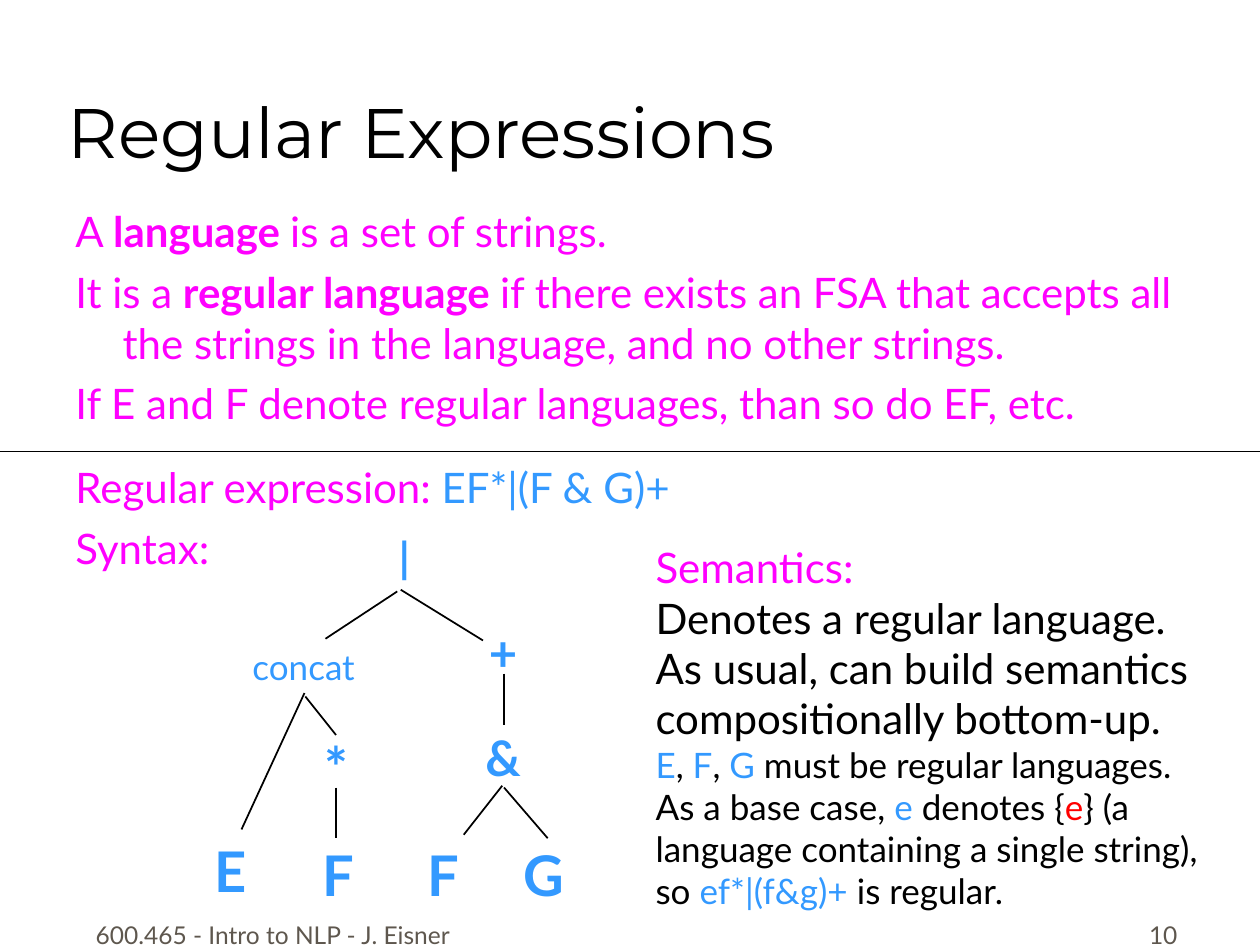
from lxml import etree
from pptx import Presentation
from pptx.dml.color import RGBColor
from pptx.enum.shapes import MSO_CONNECTOR
from pptx.enum.text import MSO_ANCHOR, MSO_AUTO_SIZE, PP_ALIGN
from pptx.oxml.ns import qn
from pptx.util import Pt

LEFT, CENTER, RIGHT = PP_ALIGN.LEFT, PP_ALIGN.CENTER, PP_ALIGN.RIGHT
TOP, BOTTOM = MSO_ANCHOR.TOP, MSO_ANCHOR.BOTTOM
NO_AUTOFIT = MSO_AUTO_SIZE.NONE
STRAIGHT = MSO_CONNECTOR.STRAIGHT

COLORS = {"black": "000000", "magenta": "FF00FF", "blue": "3399FF",
          "red": "FF0000", "footer": "5E574E"}
BODY_FONT, TITLE_FONT = "Lato", "Montserrat"

# A paragraph is a list of (text, format) pieces; "\n" breaks the line.
BLUE, RED, BOLD = {"color": "blue"}, {"color": "red"}, {"bold": True}
TITLE = [[("Regular Expressions", {})]]
DEFINITIONS = [
    [("A ", {}), ("language ", BOLD), ("is a set of strings.", {})],
    [("It is a ", {}), ("regular language ", BOLD),
     ("if there exists an FSA that accepts all the strings in the language, "
      "and no other strings.", {})],
    [("If E and F denote regular languages, than so do EF, etc.", {})],
    [("Regular expression: ", {}), ("EF*|(F & G)+", BLUE)],
    [("Syntax:", {})],
]
DEFINITION_GAPS = [0, 6, 6, 19, 6]

LARGE = {"size": 24}
SEMANTICS = [
    [("Semantics:", {"size": 24, "color": "magenta"}), ("\n", LARGE),
     ("Denotes a regular language.", LARGE)],
    [("As usual, can build semantics compositionally bottom-up.", LARGE)],
    [("E", BLUE), (", ", {}), ("F", BLUE), (", ", {}), ("G", BLUE),
     (" must be regular languages.", {})],
    [("As a base case, ", {}), ("e", BLUE), (" denotes {", {}), ("e", RED),
     ("} (a language containing a single string),", {}), ("\n", {}),
     ("so ", {}), ("ef*|(f&g)+", BLUE), (" is regular.", {})],
]

# Syntax tree: label, centre x, centre y, width, text size, bold
NODES = [
    ("|", 231, 318, 27, 24, True),
    ("concat", 173.5, 381, 76, 20, False),
    ("+", 287.5, 372.5, 30, 28, True),
    ("*", 192, 438, 32, 32, True),
    ("&", 287.5, 432.5, 35, 28, True),
    ("E", 132, 497.5, 32, 32, True),
    ("F", 193.5, 499.5, 32, 32, True),
    ("F", 253.5, 499.5, 32, 32, True),
    ("G", 311, 499.5, 37, 32, True),
]
EDGES = [
    (227, 338, 186, 365), (229, 337, 276, 366),
    (174, 396, 138, 474), (174.5, 398, 192, 420), (192, 450, 192, 479),
    (288, 385, 288, 414), (287, 449, 265, 477), (288, 450, 313, 479),
]
LINE_HEIGHT, INSET = 1.2, 3.6


def write(box, paragraphs, size=20, color="black", font=BODY_FONT, bold=False,
          align=LEFT, anchor=TOP, wrap=True, gaps=None, hanging=0):
    """Fill a box; the formats of single pieces override the defaults."""
    frame = box.text_frame
    frame.word_wrap = wrap
    frame.auto_size = NO_AUTOFIT
    frame.vertical_anchor = anchor
    for index, pieces in enumerate(paragraphs):
        para = frame.add_paragraph() if index else frame.paragraphs[0]
        para.alignment = align
        para.space_before = Pt(gaps[index] if gaps else 0)
        if hanging:
            properties = para._p.get_or_add_pPr()
            properties.set("marL", str(Pt(hanging)))
            properties.set("indent", str(-Pt(hanging)))
        for text, style in pieces:
            if text == "\n":
                para.add_line_break()
                continue
            span = para.add_run()
            span.text = text
            span.font.name = font
            span.font.size = Pt(style.get("size", size))
            span.font.bold = style.get("bold", bold)
            span.font.color.rgb = RGBColor.from_string(
                COLORS[style.get("color", color)])


def add_text(shapes, left, top, width, height, paragraphs, **style):
    box = shapes.add_textbox(Pt(left), Pt(top), Pt(width), Pt(height))
    write(box, paragraphs, **style)


def add_line(shapes, *ends):
    line = shapes.add_connector(STRAIGHT, *[Pt(value) for value in ends])
    line.line.width = Pt(1)
    line.line.color.rgb = RGBColor.from_string(COLORS["black"])
    etree.SubElement(line._element.spPr, qn("a:effectLst"))


def add_tree(page):
    tree = page.shapes.add_group_shape().shapes
    for edge in EDGES:
        add_line(tree, *edge)
    for label, x, y, width, size, bold in NODES:
        height = size * LINE_HEIGHT + 2 * INSET
        add_text(tree, x - width / 2, y - height / 2, width, height,
                 [[(label, {})]], size=size, color="blue", bold=bold,
                 align=CENTER, wrap=False)


def main():
    deck = Presentation()
    deck.slide_width, deck.slide_height = Pt(720), Pt(540)
    page = deck.slides.add_slide(deck.slide_layouts[5])

    title = page.shapes.title
    title.left, title.top = Pt(31.5), Pt(12)
    title.width, title.height = Pt(664), Pt(90)
    write(title, TITLE, size=40, font=TITLE_FONT, anchor=BOTTOM)

    add_text(page.shapes, 36, 114, 666, 408, DEFINITIONS, size=24,
             color="magenta", gaps=DEFINITION_GAPS, hanging=27)
    add_tree(page)
    add_text(page.shapes, 367.5, 306, 352.5, 218, SEMANTICS)
    add_line(page.shapes, 0, 258, 720, 258)

    footer = {"size": 14, "color": "footer", "anchor": BOTTOM}
    add_text(page.shapes, 42, 510, 228, 36,
             [[("600.465 - Intro to NLP - J. Eisner", {})]],
             align=CENTER, **footer)
    add_text(page.shapes, 530, 510, 150, 36, [[("10", {})]],
             align=RIGHT, **footer)
    deck.save("out.pptx")


if __name__ == "__main__":
    main()
